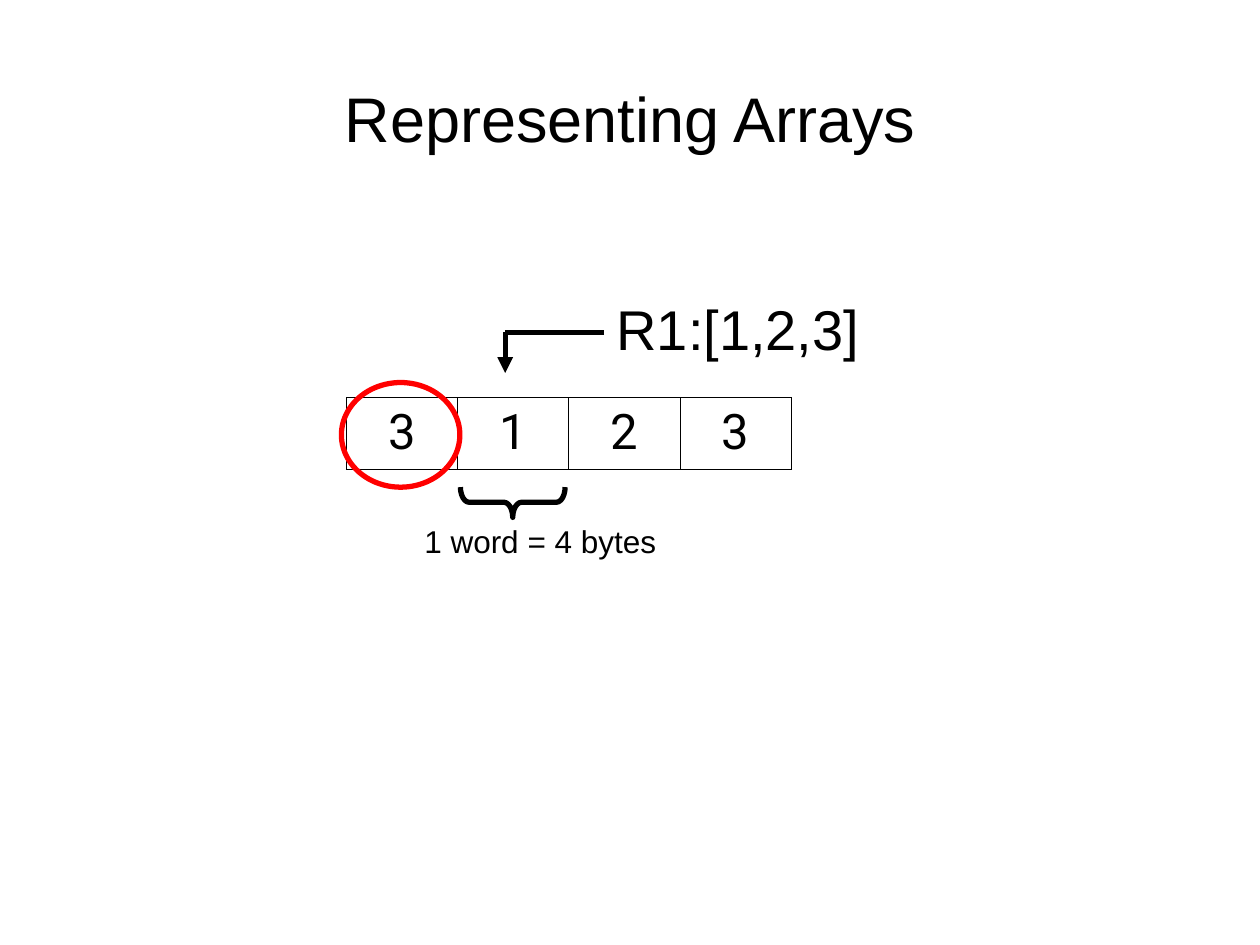
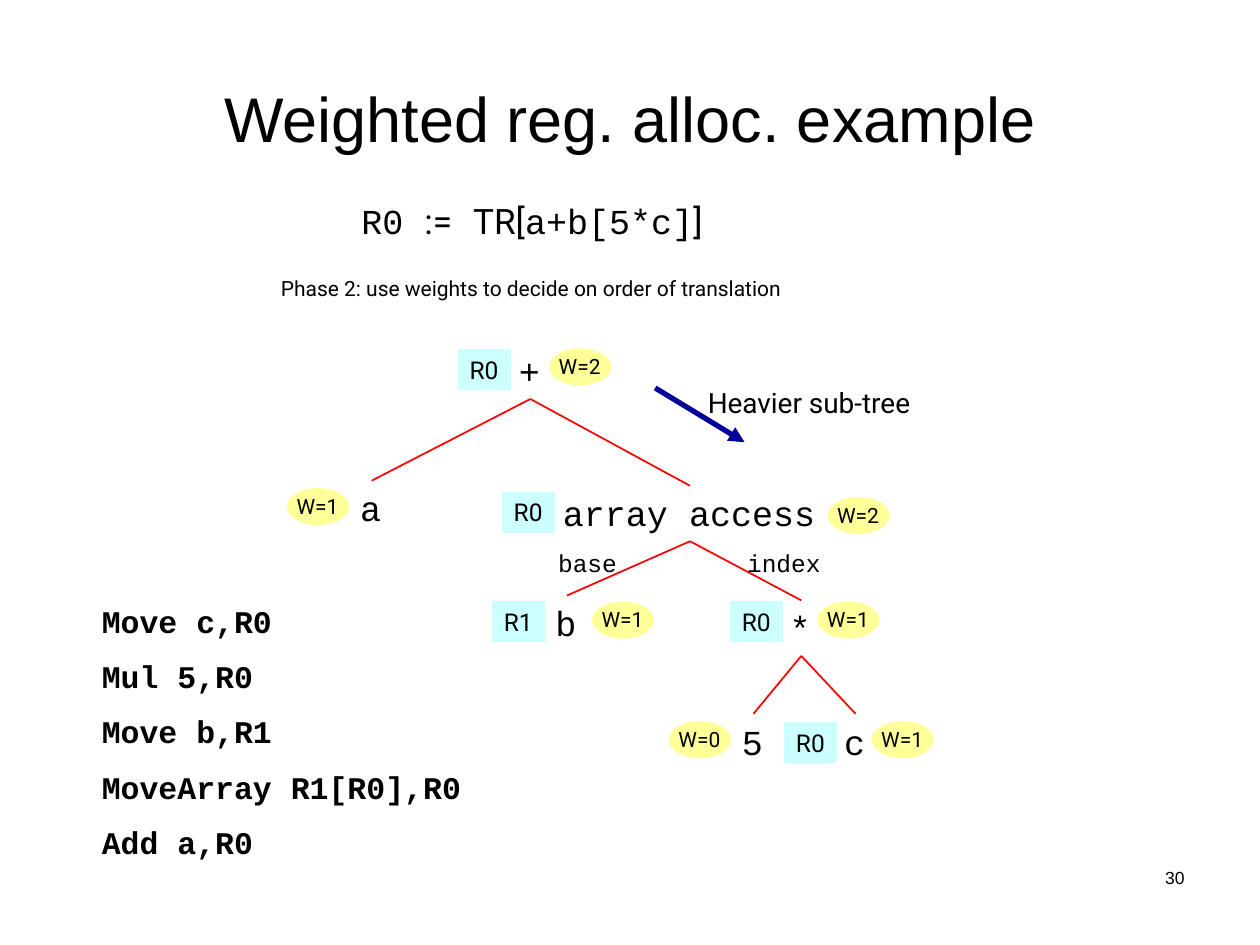
from dataclasses import dataclass

from lxml.etree import SubElement
from pptx import Presentation
from pptx.dml.color import RGBColor as RGB
from pptx.enum.shapes import MSO_CONNECTOR as CONN, MSO_SHAPE as SHAPE
from pptx.enum.text import MSO_ANCHOR as ANCHOR, MSO_AUTO_SIZE as AUTO, PP_ALIGN as ALIGN
from pptx.oxml.ns import qn
from pptx.util import Pt


def font(name, size, bold=False):
    return {"name": name, "size": Pt(size), "bold": bold}


@dataclass(frozen=True)
class Theme:
    black = RGB(0, 0, 0)
    white = RGB(255, 255, 255)
    red = RGB(255, 0, 0)
    navy = RGB(1, 1, 0x99)
    cyan = RGB(0xCC, 255, 255)
    yellow = RGB(255, 255, 0x99)
    title = font("Arial", 36)
    array = font("Arial", 32)
    caption = font("Arial", 18)
    number = font("Arial", 10)
    cell = font("Roboto", 28)
    formula = font("Roboto", 20)
    note = font("Roboto", 16)
    register = font("Roboto", 14)
    phase = font("Roboto", 12)
    node = font("Courier New", 20)
    edge = font("Courier New", 14)
    code = font("Courier New", 18, True)


T = Theme()


def write(tf, runs, align=ALIGN.LEFT):
    p = tf.paragraphs[0]
    p.alignment = align
    for text, fmt in runs:
        r = p.add_run()
        r.text = text
        for key, value in fmt.items():
            setattr(r.font, key, value)
        r.font.color.rgb = T.black


def fit_frame(s, wrap=False, anchor=ANCHOR.TOP, auto=AUTO.SHAPE_TO_FIT_TEXT):
    tf = s.text_frame
    frame = {"word_wrap": wrap, "auto_size": auto, "vertical_anchor": anchor,
             "margin_left": Pt(7.2), "margin_right": Pt(7.2),
             "margin_top": Pt(3.6), "margin_bottom": Pt(3.6)}
    for key, value in frame.items():
        setattr(tf, key, value)
    return tf


def add_text(slide, box, runs, align=ALIGN.LEFT, **frame):
    s = slide.shapes.add_textbox(*map(Pt, box))
    write(fit_frame(s, **frame), runs, align)


def add_shape(slide, kind, box, line, width, fill=None):
    s = slide.shapes.add_shape(kind, *map(Pt, box))
    s.shadow.inherit = False
    if fill is None:
        s.fill.background()
    else:
        s.fill.solid()
        s.fill.fore_color.rgb = fill
    s.line.color.rgb = line
    s.line.width = Pt(width)
    return s


def add_line(slide, start, end, color, width, arrow=False):
    s = slide.shapes.add_connector(CONN.STRAIGHT, *map(Pt, (*start, *end)))
    s.line.color.rgb = color
    s.line.width = Pt(width)
    if arrow:
        SubElement(s.line._get_or_add_ln(), qn("a:tailEnd"), type="triangle")
    SubElement(s._element.spPr, qn("a:effectLst"))


def add_title(slide, box, text):
    add_text(slide, box, [(text, T.title)], ALIGN.CENTER,
             wrap=True, anchor=ANCHOR.MIDDLE, auto=AUTO.NONE)


def add_borders(cell, color, width):
    tc_pr = cell._tc.get_or_add_tcPr()
    for i, side in enumerate(("lnL", "lnR", "lnT", "lnB")):
        ln = SubElement(tc_pr, qn(f"a:{side}"), w=str(Pt(width)))
        fill = SubElement(ln, qn("a:solidFill"))
        SubElement(fill, qn("a:srgbClr"), val=str(color))
        tc_pr.remove(ln)
        tc_pr.insert(i, ln)


def add_word_table(slide, box, words):
    tbl = slide.shapes.add_table(1, len(words), *map(Pt, box)).table
    tbl.first_row = tbl.horz_banding = False
    for cell, word in zip(tbl.rows[0].cells, words):
        cell.fill.background()
        write(cell.text_frame, [(word, T.cell)], ALIGN.CENTER)
        add_borders(cell, T.black, 0.45)


def add_array_diagram(slide, box):
    x, y, w, h = box
    add_word_table(slide, (x, y + 62.3, w, h), ["3", "1", "2", "3"])
    add_text(slide, (x + 147.2, y, 153.4, 46), [("R1:[1,2,3]", T.array)])
    add_shape(slide, SHAPE.OVAL, (x - 2.9, y + 53.7, 67.7, 59.8), T.red, 3)
    corner = (x + 90.7, y + 25)
    add_line(slide, (x + 147.2, y + 25), corner, T.black, 3)
    add_line(slide, corner, (x + 90.7, y + 48.2), T.black, 3, arrow=True)
    brace = add_shape(slide, SHAPE.LEFT_BRACE, (x + 86.4, y + 92.2, 17.3, 59.8), T.black, 3)
    brace.adjustments[0] = 0.29
    brace.rotation = 270
    add_text(slide, (x + 37.4, y + 129.6, 146.9, 28.8), [("1 word = 4 bytes", T.caption)])


def add_register(slide, x, y, name):
    s = add_shape(slide, SHAPE.RECTANGLE, (x, y, 31, 24.5), T.white, 1, T.cyan)
    write(fit_frame(s), [(name, T.register)])


def add_weight(slide, x, y, value):
    add_shape(slide, SHAPE.OVAL, (x, y, 36.7, 22.3), T.white, 1, T.yellow)
    add_text(slide, (x - 1, y, 38.9, 21.6), [(f"W={value}", T.phase)])


def mono_width(text, fmt):
    return len(text) * 0.6 * fmt["size"].pt + 15.4


# name: (x, y, parent, register, its offset, weight, its offset)
NODES = {
    "+": (127.4, 0.6, None, "R0", (-28.1, 2.9), 2, (23.8, 2.2)),
    "a": (36.7, 79, "+", None, None, 1, (-35.3, 3.6)),
    "array access": (152.6, 81.9, "+", "R0", (-28.1, 2.9), 2, (157.7, 5.8)),
    "b": (148.3, 144.6, "array access", "R1", (-29.5, 2.9), 1, (27.4, 2.9)),
    "*": (282.2, 147.4, "array access", "R0", (-27.4, 0), 1, (22.3, 0)),
    "5": (254.9, 212.2, "*", None, None, 0, (-35.3, 3.6)),
    "c": (313.2, 212.2, "*", "R0", (-27.4, 4.3), 1, (22.3, 3.6)),
}
EDGE_LABELS = {"base": 149.8, "index": 257.8}


def add_tree(slide, box):
    left, top, node_h = box
    mids = {}
    for name, (dx, dy, parent, reg, reg_at, weight, weight_at) in NODES.items():
        x, y, w = left + dx, top + dy, mono_width(name, T.node)
        mids[name] = (x + w / 2, y)
        if parent:
            px, py = mids[parent]
            add_line(slide, (px, py + node_h), mids[name], T.red, 1)
        add_text(slide, (x, y, w, node_h), [(name, T.node)])
        if reg:
            add_register(slide, x + reg_at[0], y + reg_at[1], reg)
        add_weight(slide, x + weight_at[0], y + weight_at[1], weight)
    for text, dx in EDGE_LABELS.items():
        add_text(slide, (left + dx, top + 114, mono_width(text, T.edge), 24.5),
                 [(text, T.edge)])


def add_heavier_note(slide, box):
    x, y, w, h = box
    add_line(slide, (x, y + 5), (x + 51.1, y + 36), T.navy, 3, arrow=True)
    add_text(slide, (x + 23, y, w, h), [("Heavier sub-tree", T.note)])


def add_code(slide, box, lines, step=31.5):
    x, y, w, h = box
    for i, text in enumerate(lines):
        add_text(slide, (x, y + i * step, w, h), [(text, T.code)], wrap=True)


def arrays_slide(slide, title_box):
    add_title(slide, title_box, "Representing Arrays")
    add_array_diagram(slide, (198, 164.9, 254.2, 41))


def allocation_slide(slide, title_box):
    add_text(slide, (516.2, 491.8, 167.8, 36), [("30", T.number)], ALIGN.RIGHT,
             wrap=True, auto=AUTO.NONE)
    add_title(slide, title_box, "Weighted reg. alloc. example")
    add_text(slide, (199.4, 110.2, 212.4, 31.7),
             [("R0 ", T.node), (":=", T.formula), (" ", T.node), ("TR[", T.formula),
              ("a+b[5*c]", T.node), ("]", T.formula)])
    add_text(slide, (153.4, 154.1, 317.5, 21.6),
             [("Phase 2: use weights to decide on order of translation", T.phase)])
    add_tree(slide, (162, 195.7, 31.7))
    add_heavier_note(slide, (374.4, 216.7, 139, 26.6))
    add_code(slide, (51.1, 340.6, 232.6, 28.8),
             ["Move c,R0", "Mul 5,R0", "Move b,R1", "MoveArray R1[R0],R0", "Add a,R0"])


def main():
    prs = Presentation()
    prs.slide_width, prs.slide_height = Pt(720), Pt(540)
    title_box = (36, 22, 648, 90)
    for build in (arrays_slide, allocation_slide):
        build(prs.slides.add_slide(prs.slide_layouts[6]), title_box)
    prs.save("out.pptx")


if __name__ == "__main__":
    main()
